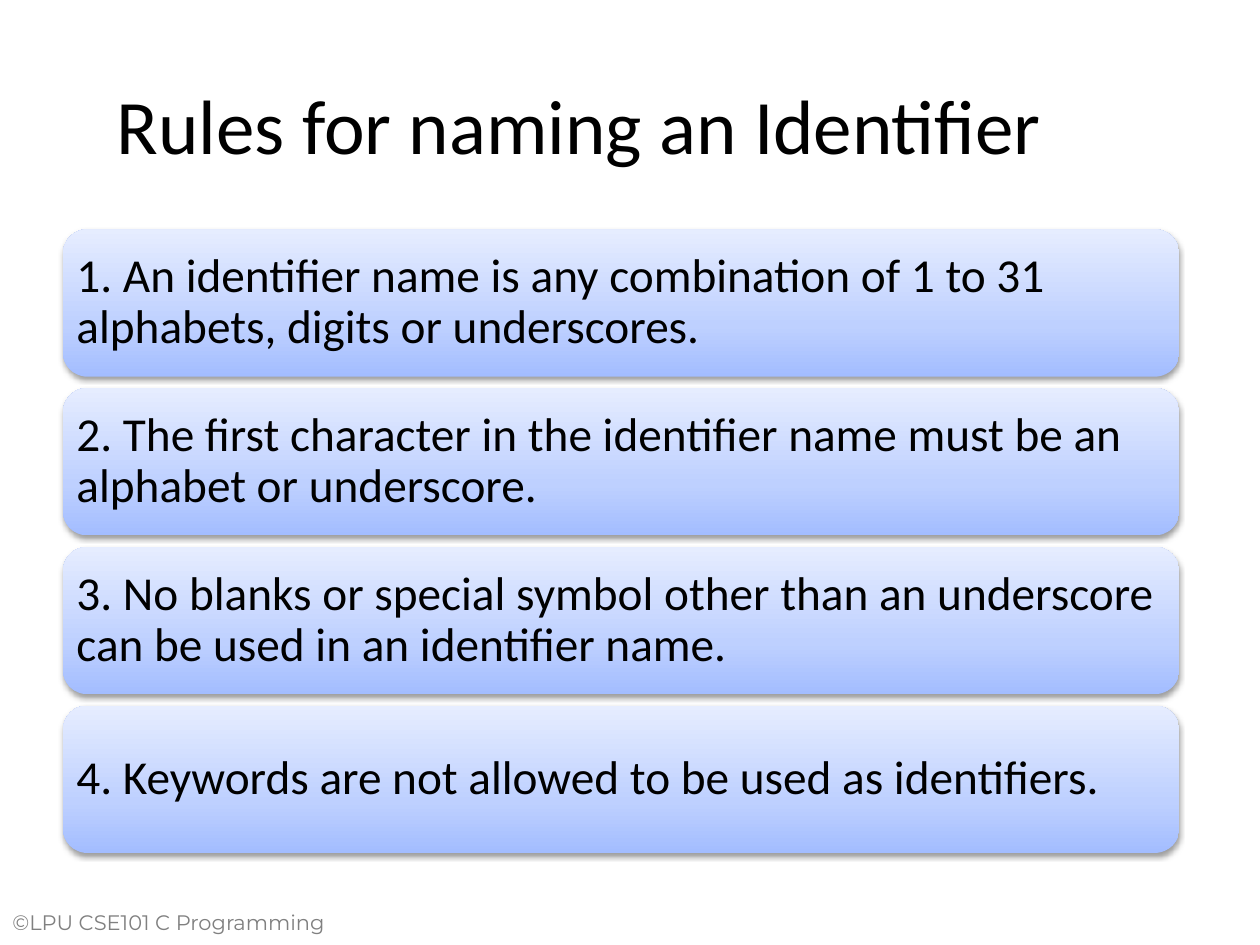
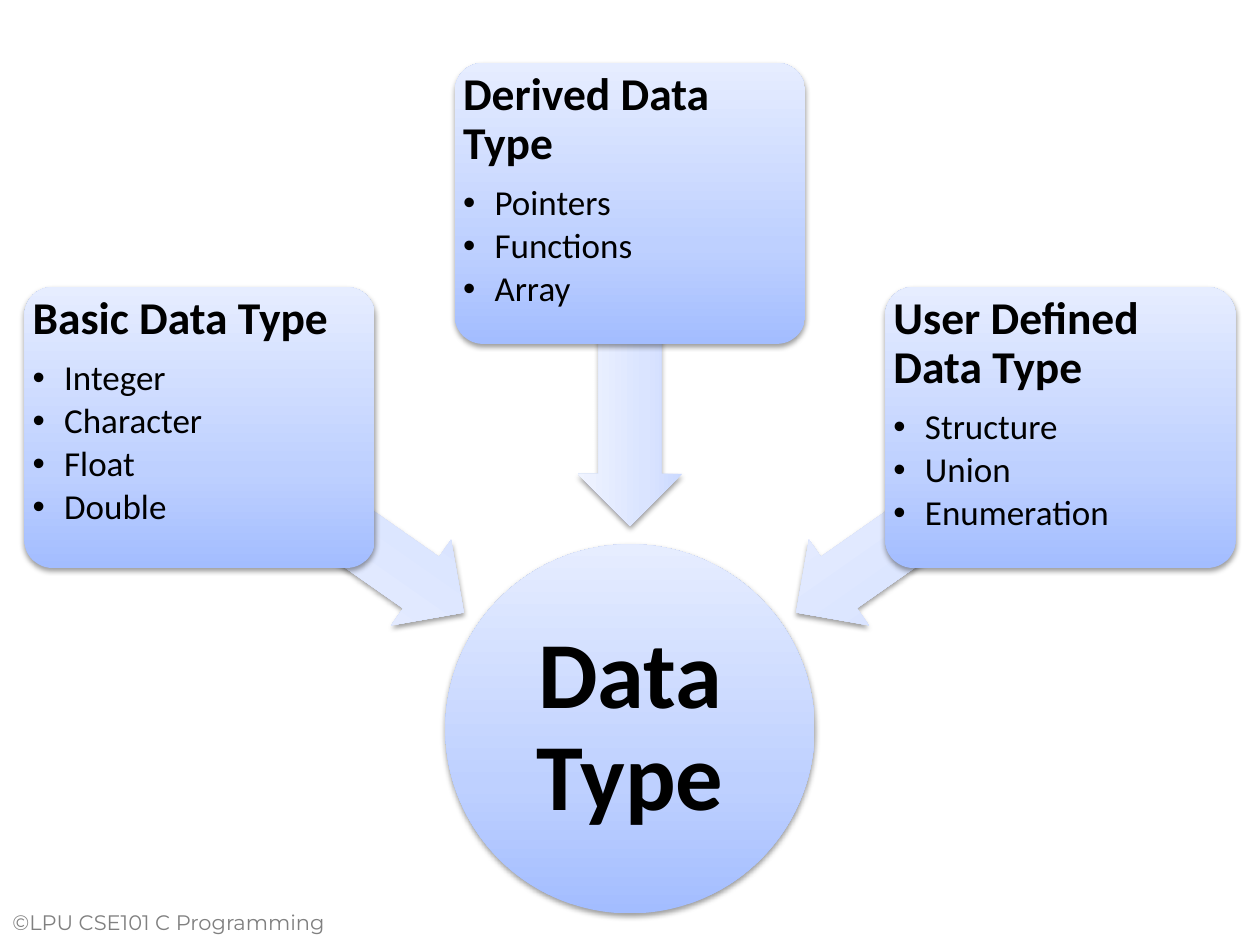
from dataclasses import dataclass
from math import cos, radians, sin

from pptx import Presentation
from pptx import util as u
from pptx.dml.color import RGBColor
from pptx.enum import shapes, text
from pptx.oxml import parse_xml
from pptx.oxml.ns import nsdecls


@dataclass(frozen=True)
class Theme:
    font: str = "Calibri"
    foot_font: str = "Montserrat"
    ink: str = "000000"
    grey: str = "808080"
    # Gradients run from bottom to top: position in percent, colour
    solid: tuple = ((0, "A3BDFF"), (35, "BED0FF"), (100, "E6EDFF"))
    pale: tuple = ((0, "CBD9FF"), (35, "DAE4FF"), (100, "F0F4FF"))
    title: int = 44
    hub: int = 54
    rule: int = 27
    head: int = 26
    item: int = 20
    foot: int = 12


T = Theme()
COLS, ROWS = 10, 7.5  # grid units, one inch each
KIND = shapes.MSO_SHAPE
ALIGN = text.PP_ALIGN
ANCHOR = text.MSO_ANCHOR

RULES = (
    "An identifier name is any combination of 1 to 31 alphabets, digits or underscores.",
    "The first character in the identifier name must be an alphabet or underscore.",
    "No blanks or special symbol other than an underscore can be used in an identifier name.",
    "Keywords are not allowed to be used as identifiers.",
)
# Angle around the hub, heading, members
TYPES = (
    (215, "Basic Data Type", ("Integer", "Character", "Float", "Double")),
    (270, "Derived Data Type", ("Pointers", "Functions", "Array")),
    (325, "User Defined Data Type", ("Structure", "Union", "Enumeration")),
)


def grid(*units):
    return [u.Inches(n) for n in units]


def around(x, y, w, h):
    """Box of size w by h centred on x, y."""
    return x - w / 2, y - h / 2, w, h


# Text
def set_frame(shape, inset, anchor):
    frame = shape.text_frame
    frame.word_wrap = True
    frame.vertical_anchor = anchor
    if inset is not None:
        frame.margin_left = frame.margin_right = u.Inches(inset)
        frame.margin_top = frame.margin_bottom = u.Inches(inset)
    return frame


def write(para, words, size, bold=False, align=ALIGN.LEFT, color=T.ink, font=T.font):
    para.alignment = align
    run = para.add_run()
    run.text = words
    run.font.size = u.Pt(size)
    run.font.bold = bold
    run.font.name = font
    run.font.color.rgb = RGBColor.from_string(color)


def space(para, size, share):
    para.line_spacing = 0.9
    para.space_after = u.Pt(round(size * share, 1))


def bullet(para):
    props = para._p.get_or_add_pPr()
    props.set("marL", str(u.Inches(0.25)))
    props.set("indent", str(u.Inches(-0.25)))
    props.append(parse_xml(f'<a:buFont {nsdecls("a")} typeface="Arial"/>'))
    props.append(parse_xml(f'<a:buChar {nsdecls("a")} char="•"/>'))


def label(slide, box, words, size, anchor=ANCHOR.TOP, **style):
    frame = set_frame(slide.shapes.add_textbox(*grid(*box)), None, anchor)
    write(frame.paragraphs[0], words, size, **style)


# Shapes
def glossy(slide, kind, box, stops, adjust=()):
    """Borderless shape with a gradient fill and a soft shadow below."""
    shape = slide.shapes.add_shape(kind, *grid(*box))
    for i, value in enumerate(adjust):
        shape.adjustments[i] = value
    shape.line.fill.background()
    shape.shadow.inherit = False
    marks = "".join(
        f'<a:gs pos="{pos * 1000}"><a:srgbClr val="{color}"/></a:gs>'
        for pos, color in stops)
    props = shape._element.spPr
    props.insert(2, parse_xml(
        f'<a:gradFill {nsdecls("a")} rotWithShape="1"><a:gsLst>{marks}</a:gsLst>'
        '<a:lin ang="16200000" scaled="0"/></a:gradFill>'))
    props[-1].append(parse_xml(
        f'<a:outerShdw {nsdecls("a")} blurRad="40000" dist="20000" dir="5400000" '
        'rotWithShape="0"><a:srgbClr val="000000"><a:alpha val="38000"/>'
        '</a:srgbClr></a:outerShdw>'))
    return shape


def bar(slide, box, words):
    shape = glossy(slide, KIND.ROUNDED_RECTANGLE, box, T.solid)
    para = set_frame(shape, 0.05, ANCHOR.MIDDLE).paragraphs[0]
    space(para, T.rule, 0.35)
    write(para, words, T.rule)


def disc(slide, box, words):
    shape = glossy(slide, KIND.OVAL, box, T.solid)
    para = set_frame(shape, 0.04, ANCHOR.MIDDLE).paragraphs[0]
    space(para, T.hub, 0.35)
    write(para, words, T.hub, bold=True, align=ALIGN.CENTER)


def arrow(slide, box, angle):
    shape = glossy(slide, KIND.LEFT_ARROW, box, T.pale, (0.6, 0.5))
    shape.rotation = angle


def card(slide, box, head, items):
    shape = glossy(slide, KIND.ROUNDED_RECTANGLE, box, T.solid, (0.1,))
    frame = set_frame(shape, 0, ANCHOR.TOP)
    para = frame.paragraphs[0]
    space(para, T.head, 0.35)
    write(para, head, T.head, bold=True)
    for item in items:
        para = frame.add_paragraph()
        para.level = 1
        bullet(para)
        space(para, T.item, 0.15)
        write(para, item, T.item)


# Slides
def new_slide(deck):
    slide = deck.slides.add_slide(deck.slide_layouts[6])
    label(slide, (0, 7.17, 3, 0.42), "©LPU CSE101 C Programming", T.foot,
          color=T.grey, font=T.foot_font)
    return slide


def rules_slide(deck):
    slide = new_slide(deck)
    wide, high, pitch = 8.86, 1.17, 1.26
    label(slide, (0.17, 0.42, wide, 1.12), "Rules for naming an Identifier",
          T.title, ANCHOR.MIDDLE, align=ALIGN.CENTER)
    for i, rule in enumerate(RULES):
        bar(slide, (0.5, 1.82 + i * pitch, wide, high), f"{i + 1}. {rule}")


def types_slide(deck):
    slide = new_slide(deck)
    hub_x, hub_y = COLS / 2, 5.785

    def orbit(angle, reach, w, h):
        turn = radians(angle)
        return around(hub_x + reach * cos(turn), hub_y + reach * sin(turn), w, h)

    disc(slide, around(hub_x, hub_y, 2.93, 2.93), "Data Type")
    for angle, head, items in TYPES:
        arrow(slide, orbit(angle, 2.89, 2.56, 0.83), angle)
        card(slide, orbit(angle, 4.17, 2.78, 2.23), head, items)


def main():
    deck = Presentation()
    deck.slide_width, deck.slide_height = grid(COLS, ROWS)
    rules_slide(deck)
    types_slide(deck)
    deck.save("out.pptx")


if __name__ == "__main__":
    main()
